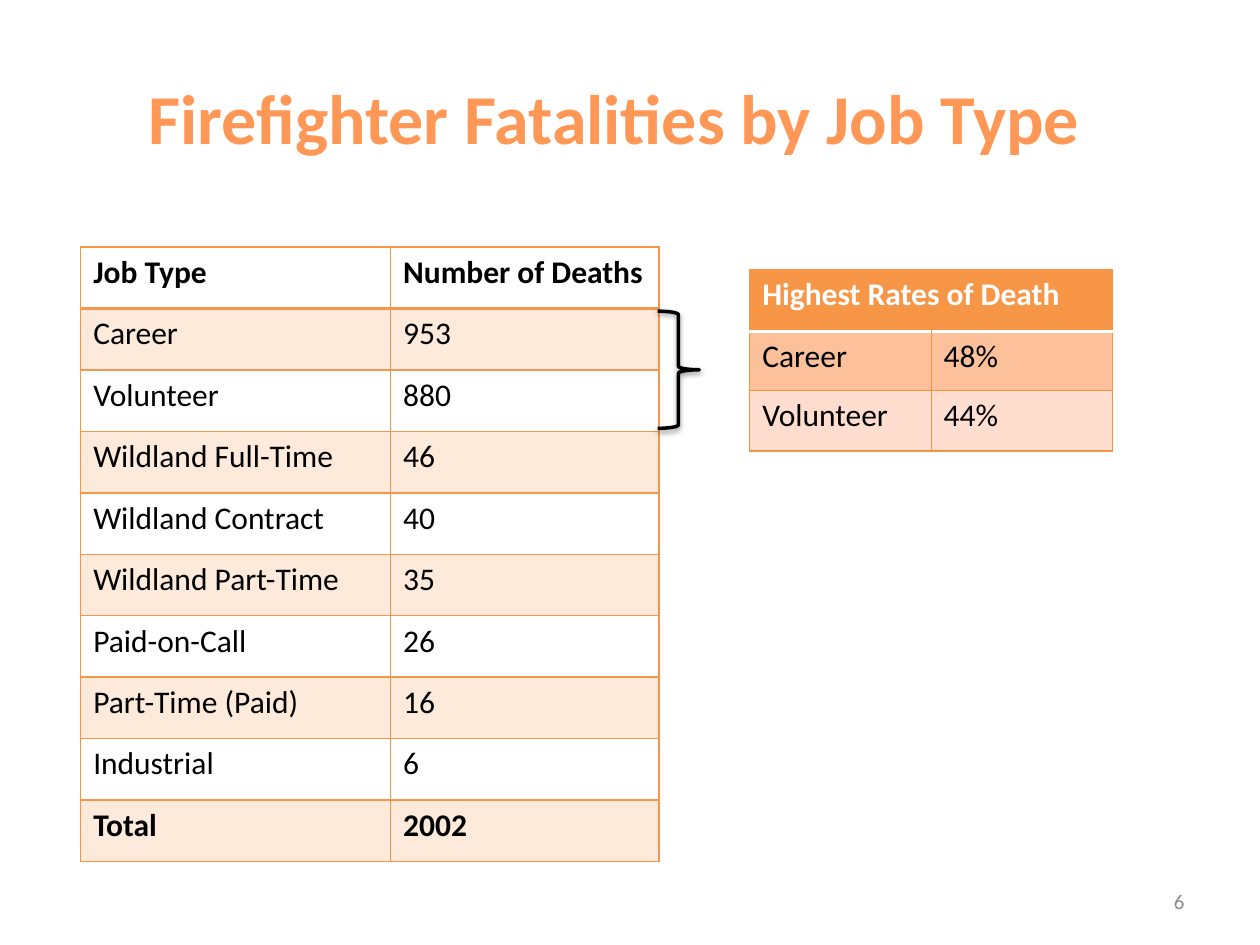
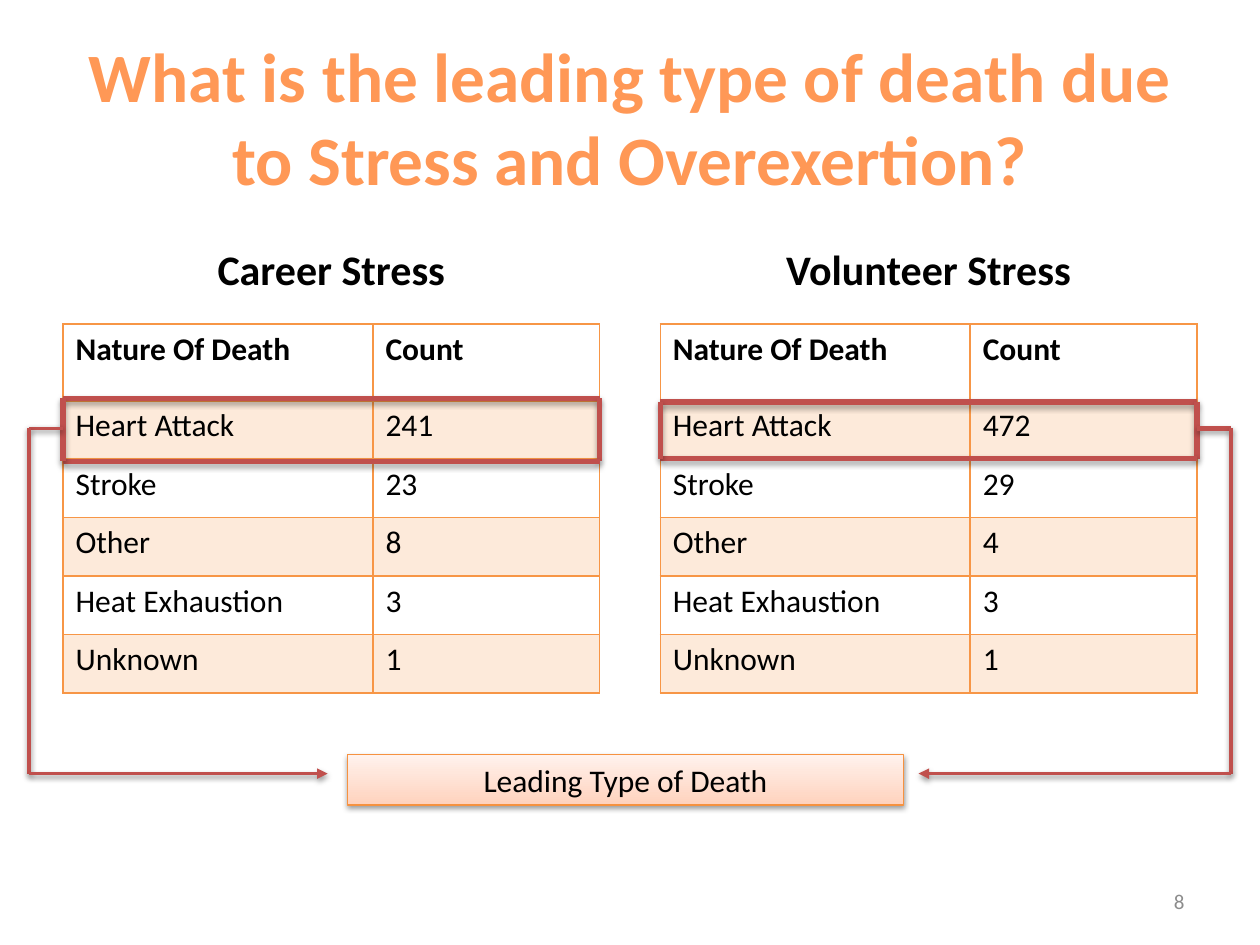
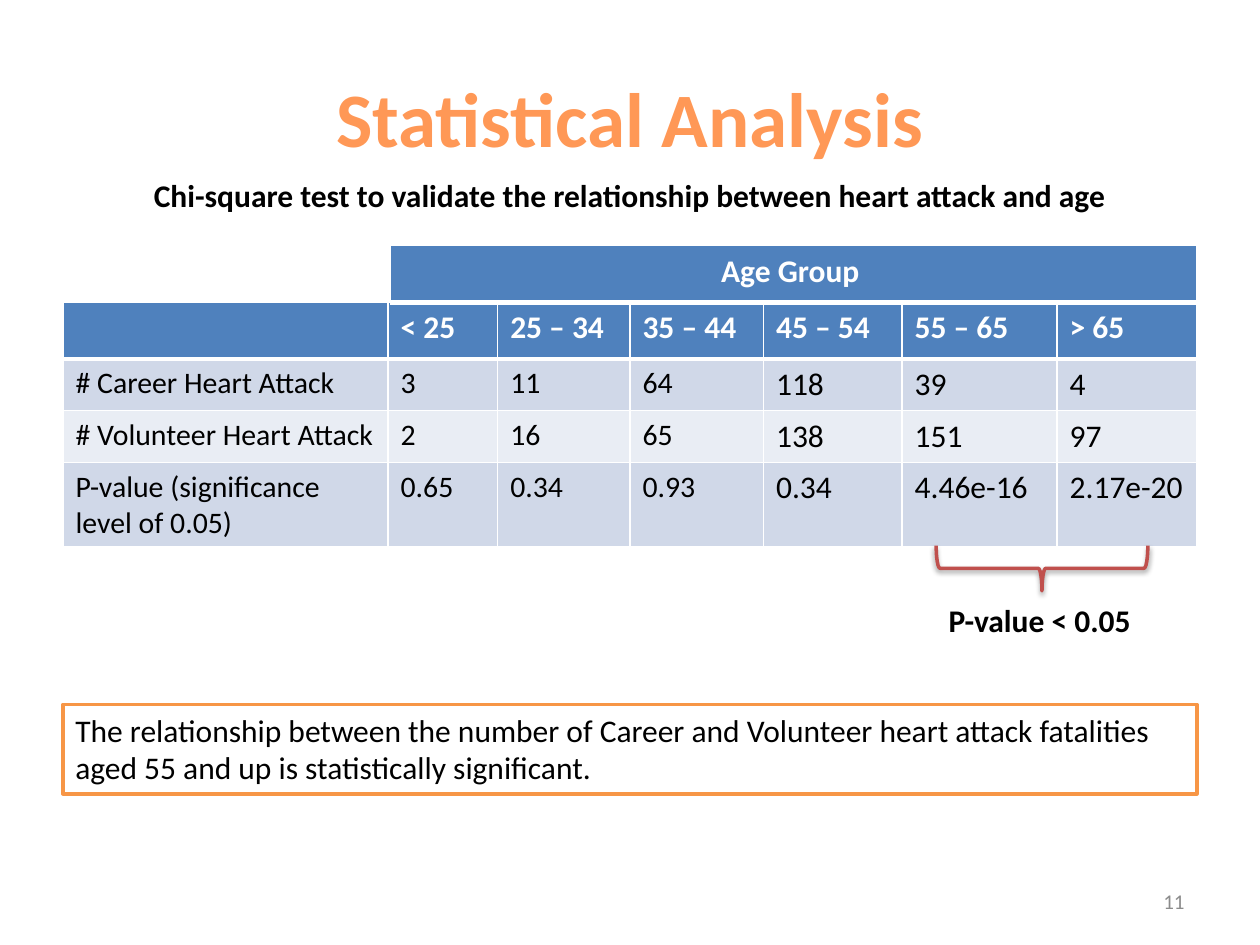
from dataclasses import dataclass
from typing import Optional

from lxml.etree import SubElement
from pptx import Presentation
from pptx.dml.color import RGBColor
from pptx.enum.shapes import MSO_CONNECTOR, MSO_SHAPE
from pptx.enum.text import MSO_ANCHOR, MSO_AUTO_SIZE, PP_ALIGN
from pptx.oxml.ns import qn
from pptx.util import Inches, Pt

FONT = "Calibri"
COLORS = {
    "title": "FF9856",
    "text": "000000",
    "white": "FFFFFF",
    "number": "8C8C8C",
    "orange": "F79646",
    "orange_line": "F69240",
    "orange_pale": "FDEADA",
    "peach": "FCC19A",
    "peach_light": "FFDED0",
    "label_start": "FFD2BD",
    "label_end": "FFF2ED",
    "red": "C0504D",
    "blue": "4F81BD",
    "blue_band": "D0D8E8",
    "blue_light": "E9EDF4",
}


@dataclass(frozen=True)
class TableStyle:
    header_fill: Optional[str]
    header_text: str
    bands: tuple
    border: str
    border_width: float
    rule: str
    rule_width: float


@dataclass(frozen=True)
class TableSpec:
    left: float
    top: float
    cols: tuple
    heights: tuple
    rows: list
    style: TableStyle
    bold_last: bool = False
    small_cols: int = 0
    align: PP_ALIGN = PP_ALIGN.LEFT


@dataclass(frozen=True)
class Stroke:
    x1: float
    y1: float
    x2: float
    y2: float
    width: float = 2
    arrow: bool = False


@dataclass(frozen=True)
class Brace:
    kind: MSO_SHAPE
    left: float
    top: float
    width: float
    height: float
    color: str
    rotation: float = 0


@dataclass(frozen=True)
class Label:
    text: str
    left: float
    top: float
    width: float
    height: float
    size: float = 18
    bold: bool = True
    color: str = "text"
    align: PP_ALIGN = PP_ALIGN.CENTER
    anchor: MSO_ANCHOR = MSO_ANCHOR.TOP


OUTLINED = TableStyle(None, "text", ("orange_pale", None), "orange", 1, "orange", 2)
PEACH = TableStyle("orange", "white", ("peach", "peach_light"), "orange_line", 0.75, "white", 2)
BLUE = TableStyle("blue", "white", ("blue_band", "blue_light"), "white", 1, "white", 3)


def rgb(name: str) -> RGBColor:
    return RGBColor.from_string(COLORS[name])


def write(tf, text: str, size: float, bold: bool = False, color: str = "text",
          align: PP_ALIGN = PP_ALIGN.LEFT) -> None:
    tf.text = text
    p = tf.paragraphs[0]
    p.alignment = align
    for r in p.runs:
        r.font.name = FONT
        r.font.size = Pt(size)
        r.font.bold = bold
        r.font.color.rgb = rgb(color)


def add_label(s, label: Label) -> None:
    sp = s.shapes.add_textbox(Inches(label.left), Inches(label.top),
                              Inches(label.width), Inches(label.height))
    tf = sp.text_frame
    tf.word_wrap = True
    tf.vertical_anchor = label.anchor
    write(tf, label.text, label.size, label.bold, label.color, label.align)


def add_slide(prs, title: str, number: int, size: float, left: float = 0.5, width: float = 9):
    s = prs.slides.add_slide(prs.slide_layouts[5])
    sp = s.shapes.title
    sp.left, sp.top, sp.width, sp.height = Inches(left), Inches(0.3), Inches(width), Inches(1.25)
    tf = sp.text_frame
    tf.auto_size = MSO_AUTO_SIZE.NONE
    tf.vertical_anchor = MSO_ANCHOR.MIDDLE
    write(tf, title, size, True, "title", PP_ALIGN.CENTER)
    add_label(s, Label(str(number), 7.17, 6.95, 2.33, 0.4, 12, False, "number",
                       PP_ALIGN.RIGHT, MSO_ANCHOR.MIDDLE))
    return s


def add_shadow(sp, opacity: int, distance: float) -> None:
    sp_pr = sp.element.spPr
    effects = sp_pr.find(qn("a:effectLst"))
    if effects is None:
        effects = SubElement(sp_pr, qn("a:effectLst"))
    shadow = SubElement(effects, qn("a:outerShdw"), blurRad=str(Pt(3.1)), dist=str(Pt(distance)),
                        dir="5400000", rotWithShape="0")
    color = SubElement(shadow, qn("a:srgbClr"), val=COLORS["text"])
    SubElement(color, qn("a:alpha"), val=str(opacity * 1000))


def set_borders(cell, style: TableStyle, row: int) -> None:
    tc_pr = cell._tc.get_or_add_tcPr()
    rule_side = {0: "lnB", 1: "lnT"}.get(row)
    for index, side in enumerate(("lnL", "lnR", "lnT", "lnB")):
        is_rule = side == rule_side
        width = style.rule_width if is_rule else style.border_width
        ln = SubElement(tc_pr, qn(f"a:{side}"), w=str(Pt(width)))
        fill = SubElement(ln, qn("a:solidFill"))
        SubElement(fill, qn("a:srgbClr"), val=COLORS[style.rule if is_rule else style.border])
        tc_pr.insert(index, ln)


def add_data_table(s, spec: TableSpec) -> None:
    frame = s.shapes.add_table(len(spec.rows), len(spec.cols), Inches(spec.left), Inches(spec.top),
                               Inches(sum(spec.cols)), Inches(sum(spec.heights)))
    table = frame.table
    table.first_row = table.horz_banding = False
    for column, width in zip(table.columns, spec.cols):
        column.width = Inches(width)
    for row, height in zip(table.rows, spec.heights):
        row.height = Inches(height)
    style = spec.style
    for i, values in enumerate(spec.rows):
        header = i == 0
        fill = style.header_fill if header else style.bands[(i - 1) % 2]
        bold = header or (spec.bold_last and i == len(spec.rows) - 1)
        for j in range(len(spec.cols)):
            cell = table.cell(i, j)
            if fill:
                cell.fill.solid()
                cell.fill.fore_color.rgb = rgb(fill)
            else:
                cell.fill.background()
            set_borders(cell, style, i)
            if j < len(values):
                size = 17 if not header and j < spec.small_cols else 18
                write(cell.text_frame, values[j], size, bold,
                      style.header_text if header else "text", spec.align)
        if len(values) < len(spec.cols):
            table.cell(i, len(values) - 1).merge(table.cell(i, len(spec.cols) - 1))


def add_stroke(s, stroke: Stroke) -> None:
    line = s.shapes.add_connector(MSO_CONNECTOR.STRAIGHT, Inches(stroke.x1), Inches(stroke.y1),
                                  Inches(stroke.x2), Inches(stroke.y2))
    line.line.color.rgb = rgb("red")
    line.line.width = Pt(stroke.width)
    if stroke.arrow:
        SubElement(line.element.spPr.find(qn("a:ln")), qn("a:tailEnd"), type="triangle")
    if stroke.width > 2:
        add_shadow(line, 35, 1.8)
    else:
        add_shadow(line, 38, 1.6)


def add_row_frame(s, left: float, top: float, right: float, bottom: float) -> None:
    corners = [(left, top), (right, top), (right, bottom), (left, bottom)]
    for start, end in zip(corners, corners[1:] + corners[:1]):
        add_stroke(s, Stroke(*start, *end, 3))


def add_box(s, kind: MSO_SHAPE, left: float, top: float, width: float, height: float,
            line: str, line_width: float):
    sp = s.shapes.add_shape(kind, Inches(left), Inches(top), Inches(width), Inches(height))
    sp.shadow.inherit = False
    sp.line.color.rgb = rgb(line)
    sp.line.width = Pt(line_width)
    return sp


def add_brace(s, brace: Brace) -> None:
    sp = add_box(s, brace.kind, brace.left, brace.top, brace.width, brace.height, brace.color, 2)
    sp.fill.background()
    sp.rotation = brace.rotation
    add_shadow(sp, 38, 1.6)


def build_job_types(prs) -> None:
    s = add_slide(prs, "Firefighter Fatalities by Job Type ", 6, 40, 0.37, 9.13)
    deaths = [
        ("Job Type", "Number of Deaths"),
        ("Career", "953"),
        ("Volunteer", "880"),
        ("Wildland Full-Time", "46"),
        ("Wildland Contract", "40"),
        ("Wildland Part-Time", "35"),
        ("Paid-on-Call", "26"),
        ("Part-Time (Paid)", "16"),
        ("Industrial", "6"),
        ("Total", "2002"),
    ]
    add_data_table(s, TableSpec(0.64, 1.96, (2.46, 2.13), (0.488,) * len(deaths), deaths,
                                OUTLINED, bold_last=True))
    add_brace(s, Brace(MSO_SHAPE.RIGHT_BRACE, 5.22, 2.47, 0.33, 0.93, "text"))
    rates = [("Highest Rates of Death",), ("Career", "48%"), ("Volunteer", "44%")]
    add_data_table(s, TableSpec(5.95, 2.14, (1.44, 1.44), (0.49, 0.47, 0.48), rates, PEACH))


def build_stress(prs) -> None:
    s = add_slide(prs, "What is the leading type of death due to Stress and Overexertion?", 8, 39.6)
    causes = ("Heart Attack", "Stroke", "Other", "Heat Exhaustion", "Unknown")
    groups = [
        ("Career Stress", 0.5, ("241", "23", "8", "3", "1"), 3.16, 3.66),
        ("Volunteer Stress", 5.24, ("472", "29", "4", "3", "1"), 3.19, 3.64),
    ]
    for heading, left, counts, top, bottom in groups:
        add_label(s, Label(heading, left, 1.68, 4.26, 0.7, 24, anchor=MSO_ANCHOR.BOTTOM))
        rows = [("Nature Of Death", "Count"), *zip(causes, counts)]
        add_data_table(s, TableSpec(left, 2.57, (2.46, 1.8), (0.61,) + (0.464,) * len(causes),
                                    rows, OUTLINED))
        add_row_frame(s, left, top, left + 4.26, bottom)
    for edge, outer, tip, width in ((0.5, 0.23, 2.6, 2), (9.5, 9.77, 7.29, 3)):
        add_stroke(s, Stroke(edge, 3.4, outer, 3.4, width))
        add_stroke(s, Stroke(outer, 3.4, outer, 6.14))
        add_stroke(s, Stroke(outer, 6.14, tip, 6.14, arrow=True))
    sp = add_box(s, MSO_SHAPE.RECTANGLE, 2.76, 5.99, 4.41, 0.4, "orange_line", 0.75)
    sp.fill.gradient()
    sp.fill.gradient_angle = 90
    for stop, color in zip(sp.fill.gradient_stops, ("label_start", "label_end")):
        stop.color.rgb = rgb(color)
    add_shadow(sp, 38, 1.6)
    sp.text_frame.vertical_anchor = MSO_ANCHOR.TOP
    write(sp.text_frame, "Leading Type of Death", 18, align=PP_ALIGN.CENTER)


def build_statistics(prs) -> None:
    s = add_slide(prs, "Statistical Analysis", 11, 44)
    ages = [
        ("", "< 25", "25 – 34", "35 – 44", "45 – 54", "55 – 65", "> 65"),
        ("# Career Heart Attack", "3", "11", "64", "118", "39", "4"),
        ("# Volunteer Heart Attack", "2", "16", "65", "138", "151", "97"),
        ("P-value (significance level of 0.05)", "0.65", "0.34", "0.93", "0.34",
         "4.46e-16", "2.17e-20"),
    ]
    add_data_table(s, TableSpec(0.5, 2.4, (2.58, 0.87, 1.05, 1.06, 1.1, 1.23, 1.11),
                                (0.45, 0.41, 0.41, 0.66), ages, BLUE, small_cols=4))
    add_data_table(s, TableSpec(3.1, 1.95, (6.4,), (0.45,), [("Age Group ",)], BLUE,
                                align=PP_ALIGN.CENTER))
    add_brace(s, Brace(MSO_SHAPE.LEFT_BRACE, 8.09, 3.67, 0.36, 1.68, "red", 270))
    add_label(s, Label("P-value < 0.05", 7.43, 4.72, 1.68, 0.41, align=PP_ALIGN.LEFT))
    sp = add_box(s, MSO_SHAPE.RECTANGLE, 0.5, 5.59, 9, 0.71, "orange", 2)
    sp.fill.solid()
    sp.fill.fore_color.rgb = rgb("white")
    sp.text_frame.vertical_anchor = MSO_ANCHOR.TOP
    write(sp.text_frame, "The relationship between the number of Career and Volunteer heart attack "
          "fatalities aged 55 and up is statistically significant.", 18)
    add_label(s, Label("Chi-square test to validate the relationship between heart attack and age",
                       0.5, 1.35, 9, 0.4))


def main() -> None:
    prs = Presentation()
    prs.slide_width, prs.slide_height = Inches(10), Inches(7.5)
    build_job_types(prs)
    build_stress(prs)
    build_statistics(prs)
    prs.save("out.pptx")


if __name__ == "__main__":
    main()
